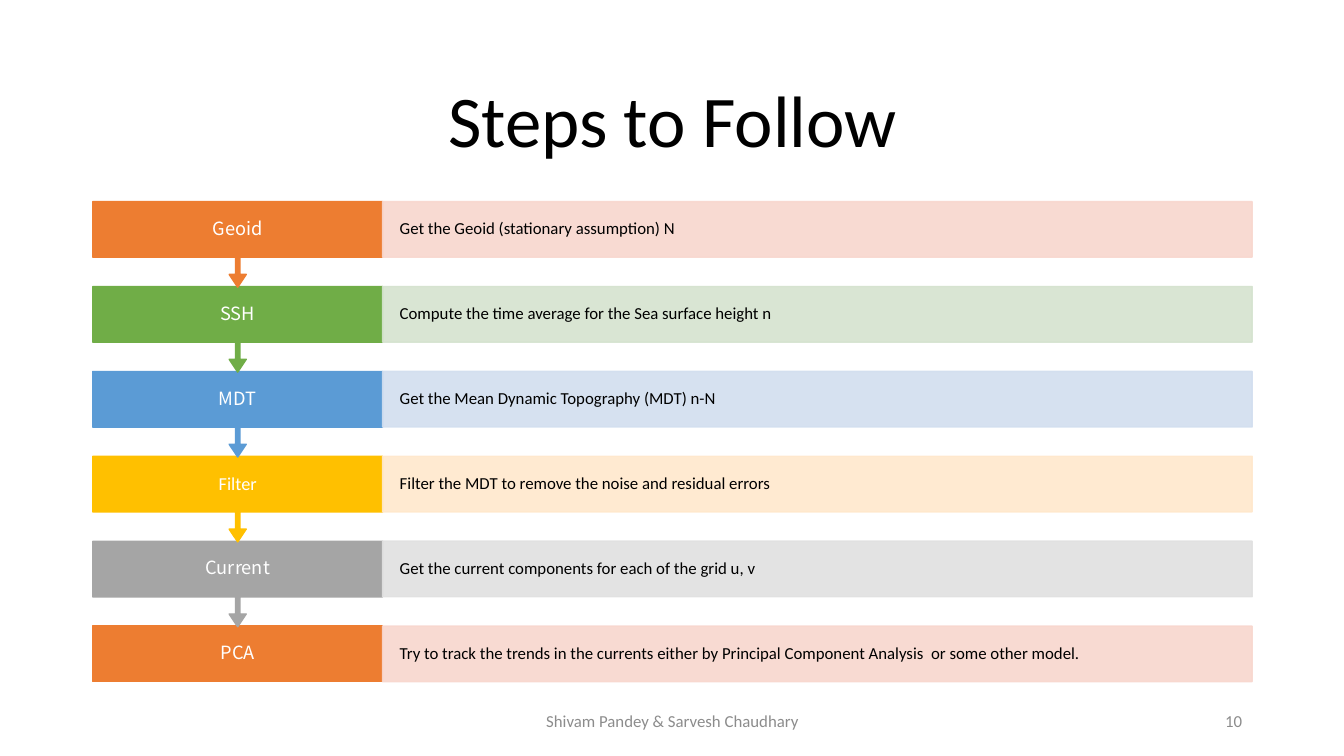
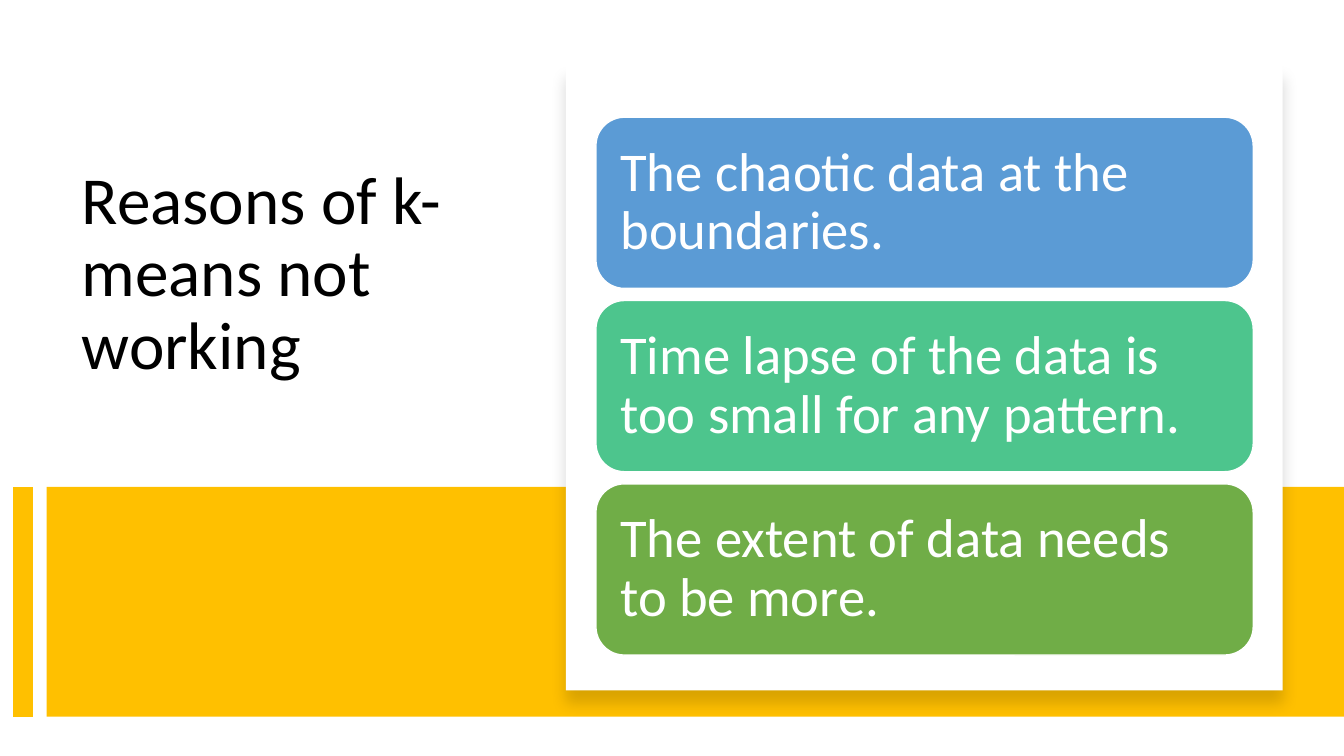
from lxml.etree import SubElement
from pptx import Presentation
from pptx.dml.color import RGBColor as Color
from pptx.enum.shapes import MSO_CONNECTOR as Connector, MSO_SHAPE as Preset
from pptx.enum.text import MSO_ANCHOR as Anchor, MSO_AUTO_SIZE as AutoSize, PP_ALIGN as Align
from pptx.oxml.ns import qn
from pptx.util import Inches, Pt

ORANGE, GREEN, BLUE = "ED7D31", "70AD47", "5B9BD5"
GOLD, GRAY, MINT = "FFC000", "A5A5A5", "4DC58D"
BLACK, WHITE, MUTED = "000000", "FFFFFF", "8C8C8C"
LATIN, ASIAN = "Calibri", "Noto Sans CJK JP"


def paint(shape, fill=None, line=None, weight=1, opacity=100):
    if fill:
        shape.fill.solid()
        shape.fill.fore_color.rgb = Color.from_string(fill)
    if line:
        shape.line.color.rgb = Color.from_string(line)
        shape.line.width = Pt(weight)
    else:
        shape.line.fill.background()
    properties = shape._element.spPr
    if opacity < 100:
        for tint in properties.iter(qn("a:srgbClr")):
            SubElement(tint, qn("a:alpha"), val=str(opacity * 1000))
    return SubElement(properties, qn("a:effectLst"))


def write(box, text, size, color=BLACK, font=LATIN, align=Align.LEFT,
          anchor=Anchor.MIDDLE, spacing=0.9, inset=(0.1, 0.05)):
    frame = box.text_frame
    frame.word_wrap = True
    frame.auto_size = AutoSize.NONE
    frame.vertical_anchor = anchor
    frame.margin_left = frame.margin_right = Inches(inset[0])
    frame.margin_top = frame.margin_bottom = Inches(inset[1])
    para = frame.paragraphs[0]
    para.alignment = align
    para.line_spacing = spacing
    span = para.add_run()
    span.text = text
    span.font.size = Pt(size)
    span.font.name = font
    span.font.color.rgb = Color.from_string(color)
    if font == ASIAN:
        SubElement(span._r.get_or_add_rPr(), qn("a:ea"), typeface=font)


deck = Presentation()
deck.slide_width, deck.slide_height = Inches(13.33), Inches(7.5)
column, row = deck.slide_width / 100, deck.slide_height / 100
title_only = deck.slide_layouts[5]

steps_page = deck.slides.add_slide(title_only)
title = steps_page.shapes.title
title.left, title.top = int(6.9 * column), int(8.13 * row)
title.width, title.height = int(86.27 * column), int(16.53 * row)
write(title, "Steps to Follow", 52, align=Align.CENTER)

footers = [
    (33.16, 33.76, "Shivam Pandey & Sarvesh Chaudhary", Align.CENTER),
    (70.67, 22.5, "10", Align.RIGHT),
]
for left, width, text, align in footers:
    footer = steps_page.shapes.add_textbox(
        int(left * column), int(92.67 * row), int(width * column), int(5.33 * row))
    write(footer, text, 12, MUTED, align=align, spacing=1)

steps = [
    ("Geoid", "Get the Geoid (stationary assumption) N", ORANGE, "F8D7CE", ASIAN),
    ("SSH", "Compute the time average for the Sea surface height n", GREEN, "D5E3CF", ASIAN),
    ("MDT", "Get the Mean Dynamic Topography (MDT) n-N", BLUE, "D2DEEF", ASIAN),
    ("Filter", "Filter the MDT to remove the noise and residual errors", GOLD, "FFE8CC", LATIN),
    ("Current", "Get the current components for each of the grid u, v", GRAY, "E1E1E1", ASIAN),
    ("PCA", "Try to track the trends in the currents either by Principal Component Analysis  or some other model.",
     ORANGE, "F8D7CE", ASIAN),
]
label_left, label_width = int(6.9 * column), int(21.57 * column)
detail_left, detail_width = label_left + label_width, int(64.7 * column)
step_height, arrow_height, step_pitch = int(7.36 * row), int(11.32 * row), 11.23 * row
last = len(steps) - 1
for index, (name, detail, strong, pale, font) in reversed(list(enumerate(steps))):
    top = int(26.67 * row + index * step_pitch)
    if index == last:
        block = steps_page.shapes.add_shape(
            Preset.RECTANGLE, label_left, top, label_width, step_height)
    else:
        block = steps_page.shapes.add_shape(
            Preset.UP_ARROW_CALLOUT, label_left, top, label_width, arrow_height)
        block.rotation = 180
        for position, value in enumerate((0.05, 0.1, 0.15, 0.65)):
            block.adjustments[position] = value
    paint(block, strong, strong)
    label = steps_page.shapes.add_textbox(label_left, top, label_width, step_height)
    write(label, name, 13, WHITE, font, Align.CENTER, inset=(0.2, 0.1))
    bar = steps_page.shapes.add_shape(
        Preset.RECTANGLE, detail_left, top, detail_width, step_height)
    paint(bar, pale, pale, opacity=90)
    write(bar, detail, 12, inset=(0.17, 0.17))

reasons_page = deck.slides.add_slide(title_only)
title = reasons_page.shapes.title
title.left, title.top = int(5.33 * column), int(21.33 * row)
title.width, title.height = int(31.13 * column), int(39.2 * row)
write(title, "Reasons of k-means not working", 48, anchor=Anchor.TOP)

band_left, band_top, band_bottom = int(3.47 * column), int(64.4 * row), int(94.8 * row)
band = reasons_page.shapes.add_shape(
    Preset.RECTANGLE, band_left, band_top, deck.slide_width - band_left, band_bottom - band_top)
paint(band, GOLD)
stripe_x = int(1.73 * column)
stripe = reasons_page.shapes.add_connector(
    Connector.STRAIGHT, stripe_x, band_top, stripe_x, band_bottom)
paint(stripe, line=GOLD, weight=14)

panel = reasons_page.shapes.add_shape(
    Preset.RECTANGLE, int(42.1 * column), int(8.53 * row), int(53.34 * column), int(82.8 * row))
effects = paint(panel, WHITE)
shadow = SubElement(effects, qn("a:outerShdw"), blurRad=str(Pt(11)), dist=str(Pt(10)),
                    dir="5400000", algn="t", rotWithShape="0")
shade = SubElement(shadow, qn("a:srgbClr"), val=BLACK)
SubElement(shade, qn("a:alpha"), val="15000")

reasons = [
    ("The chaotic data at the boundaries.", BLUE),
    ("Time lapse of the data is too small for any pattern.", MINT),
    ("The extent of data needs to be more.", GREEN),
]
for index, (reason, color) in enumerate(reasons):
    card = reasons_page.shapes.add_shape(
        Preset.ROUNDED_RECTANGLE, int(44.34 * column), int((15.5 + index * 24.25) * row),
        int(48.91 * column), int(22.65 * row))
    paint(card, color, WHITE)
    write(card, reason, 39, WHITE, inset=(0.16, 0.16))

deck.save("out.pptx")
